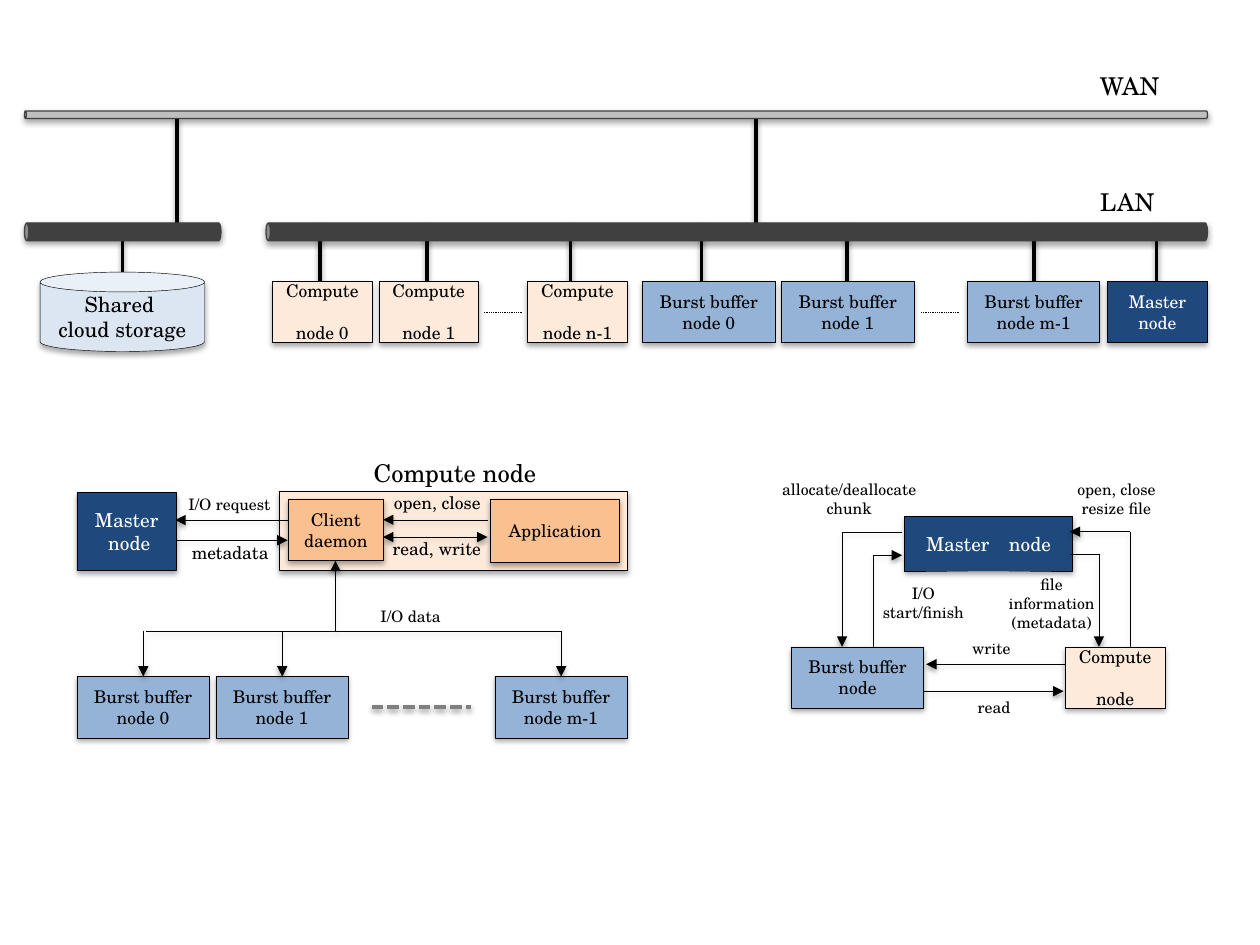
"""Build a slide of a burst buffer network and its message flows."""
from lxml.etree import SubElement
from pptx import Presentation
from pptx.dml.color import RGBColor
from pptx.enum.shapes import MSO_CONNECTOR, MSO_SHAPE, MSO_SHAPE_TYPE as TYPE
from pptx.enum.text import MSO_ANCHOR, MSO_AUTO_SIZE, PP_ALIGN
from pptx.oxml.ns import qn
from pptx.util import Pt

BLACK = RGBColor(0, 0, 0)
WHITE = RGBColor(255, 255, 255)
DARK = RGBColor(0x40, 0x40, 0x40)
GRAY = RGBColor(0x7F, 0x7F, 0x7F)
SILVER = RGBColor(0xBF, 0xBF, 0xBF)
ICE = RGBColor(0xDC, 0xE6, 0xF2)
PEACH = RGBColor(0xFD, 0xEA, 0xDA)
ORANGE = RGBColor(0xFA, 0xC0, 0x90)
BLUE = RGBColor(0x95, 0xB3, 0xD7)
NAVY = RGBColor(0x1F, 0x49, 0x7D)
FONT = "TeX Gyre Schola"
RECT, CAN = MSO_SHAPE.RECTANGLE, MSO_SHAPE.CAN
SLIM, WIDE, HIGH = 56.9, 75.6, 35


def put(area, kind, spot, fill=None, text="", size=10, align=PP_ALIGN.CENTER):
    """Add a filled shape, or a text box when kind is None."""
    spot = [Pt(n) for n in spot]
    if kind is None:
        shape = area.add_textbox(*spot)
    else:
        shape = area.add_shape(kind, *spot)
        shape.fill.solid()
        shape.fill.fore_color.rgb = fill
        shape.line.color.rgb = BLACK
        shape.line.width = Pt(0.25)
    frame = shape.text_frame
    frame.text = text
    frame.word_wrap = True
    if kind is None:
        frame.auto_size = MSO_AUTO_SIZE.SHAPE_TO_FIT_TEXT
    else:
        frame.vertical_anchor = MSO_ANCHOR.MIDDLE
    for para in frame.paragraphs:
        para.alignment = align
        for run in para.runs:
            run.font.name = FONT
            run.font.size = Pt(size)
            run.font.color.rgb = WHITE if fill == NAVY else BLACK
    for gap in shape.element.iter(qn("a:br")):
        look = SubElement(gap, qn("a:rPr"), sz=str(size * 100))
        SubElement(look, qn("a:latin"), typeface=FONT)
    return shape


def link(area, ends, width=0.25, tips="", dash=None, color=BLACK):
    """Add a line with optional dash and triangle tips at head or tail."""
    wire = area.add_connector(MSO_CONNECTOR.STRAIGHT, *[Pt(n) for n in ends])
    wire.line.color.rgb = color
    wire.line.width = Pt(width)
    ln = wire.line._get_or_add_ln()
    if dash:
        SubElement(ln, qn("a:prstDash"), val=dash)
    for tip in tips.split():
        SubElement(ln, qn(f"a:{tip}End"), type="triangle")


deck = Presentation()
deck.slide_width, deck.slide_height = Pt(720), Pt(540)
slide = deck.slides.add_slide(deck.slide_layouts[6])
net = slide.shapes

for x in (101, 432):
    link(net, (x, 127.5, x, 67.5), 2)
link(net, (70, 155.5, 70, 137.5), 2)
for x in (182.9, 244.1, 326, 401, 484, 591, 661):
    link(net, (x, 160.6, x, 127.5), 2)
for x in (276.5, 526.3):
    link(net, (x, 178.6, x + 22.3, 178.6), dash="dot")

pipes = [
    (14, 63.4, 676, 4.3, SILVER),
    (14, 127.4, 112.3, 10.1, DARK),
    (152, 127.4, 538, 10.1, DARK),
]
for x, y, long, thick, fill in pipes:
    shift = (long - thick) / 2
    pipe = put(net, CAN, (x + shift, y - shift, thick, long), fill)
    pipe.rotation = 270
    pipe.line.color.rgb = DARK
    pipe.line.width = Pt(0.75)

put(net, CAN, (22.9, 155.5, 94, 45.4), ICE, "Shared \ncloud storage", 12)
nodes = [
    (155.7, SLIM, PEACH, "Compute \vnode 0"),
    (216.5, SLIM, PEACH, "Compute \vnode 1"),
    (301.5, SLIM, PEACH, "Compute \vnode n-1"),
    (367.2, WIDE, BLUE, "Burst buffer\vnode 0"),
    (446.6, WIDE, BLUE, "Burst buffer\vnode 1"),
    (552.8, WIDE, BLUE, "Burst buffer\vnode m-1"),
    (632.9, SLIM, NAVY, "Master\vnode"),
]
for x, width, fill, text in nodes:
    put(net, RECT, (x, 160.6, width, HIGH), fill, text)
for y, text in ((37, "WAN"), (103.3, "LAN")):
    put(net, None, (621.4, y, 68.4, 24.5), text=text, size=14, align=PP_ALIGN.LEFT)

left = net.add_group_shape().shapes
for x, name in ((43.9, "0"), (123.3, "1"), (282.7, "m-1")):
    put(left, RECT, (x, 386.6, WIDE, HIGH), BLUE, f"Burst buffer\vnode {name}")
    mid = x + WIDE / 2 + 0.2
    link(left, (mid, 386.6, mid, 360.7), tips="head")
link(left, (212.4, 403.9, 269.3, 403.9), 2.25, dash="sysDash", color=GRAY)
put(left, RECT, (159.5, 280.8, 199, 45.1), PEACH)
put(left, RECT, (280.1, 285.1, 74, 36.4), ORANGE, "Application")
flows = [
    ((218.9, 297, 278.6, 297), "head"),
    ((218.9, 306.9, 278.6, 306.9), "head tail"),
    ((100.1, 297.2, 166.3, 297.2), "head"),
    ((164.4, 308.7, 99.4, 308.7), "head"),
    ((320.4, 360.7, 83.5, 360.7), ""),
    ((191.7, 320.4, 191.7, 360.7), "head"),
]
for ends, tips in flows:
    link(left, ends, tips=tips)
put(left, RECT, (164.6, 285.1, 54.5, 35), ORANGE, "Client\vdaemon")
put(left, RECT, (43.9, 281.5, SLIM, 44.6), NAVY, "Master\n node", 11)

right = net.add_group_shape().shapes
put(right, RECT, (517, 295.2, 95.8, 31), NAVY, "Master\u3000node", 11)
flows = [
    ((481.2, 369.6, 481.2, 304), "head"),
    ((515.5, 304, 481.2, 304), ""),
    ((499, 317.3, 499, 369.6), ""),
    ((515.5, 317.3, 499, 317.3), "head"),
    ((645.8, 369.6, 645.8, 303.8), ""),
    ((611.3, 303.8, 645.8, 303.8), "head"),
    ((628, 316.8, 628, 369.6), "tail"),
    ((611.3, 316.8, 628, 316.8), ""),
    ((611.3, 379.6, 529.2, 379.6), "tail"),
    ((607.7, 395, 525.6, 395), "head"),
]
for ends, tips in flows:
    link(right, ends, tips=tips)
put(right, RECT, (452.2, 369.6, WIDE, HIGH), BLUE, "Burst buffer\vnode")
put(right, RECT, (608.7, 369.6, SLIM, HIGH), PEACH, "Compute \vnode")

notes = [
    (left, (199.2, 258.2, 121.7, 22.3), 14, "Compute node"),
    (left, (215.3, 277.6, 69.1, 17.3), 10, "open, close"),
    (left, (215.1, 303.8, 69.1, 19.4), 10, "read, write"),
    (left, (97, 306, 69.1, 19.4), 10, "metadata"),
    (left, (96.5, 279.4, 69.1, 18), 9, "I/O request"),
    (left, (200, 343, 69.1, 18), 9, "I/O data"),
    (right, (531.9, 361.4, 69.1, 18), 9, "write"),
    (right, (533.5, 395.3, 69.1, 18), 9, "read"),
    (right, (562, 324.7, 77.8, 40.3), 9, "file information\v(metadata)"),
    (right, (594, 270.7, 87.8, 28.8), 9, "open, close\vresize file"),
    (right, (437, 270.7, 96.5, 28.8), 9, "allocate/deallocate\vchunk"),
    (right, (488.7, 330.2, 77.8, 28.8), 9, "I/O\vstart/finish"),
]
for area, spot, size, text in notes:
    put(area, None, spot, text=text, size=size)

for area in (net, left, right):
    for shape in area:
        if shape.shape_type in (TYPE.TEXT_BOX, TYPE.GROUP):
            continue
        wire = shape.shape_type == TYPE.LINE
        glow = SubElement(shape.element.spPr, qn("a:effectLst"))
        shade = SubElement(glow, qn("a:outerShdw"), blurRad=str(Pt(3.15)),
                           dist=str(Pt(1.6 if wire else 1.8)),
                           dir="5400000", rotWithShape="0")
        tint = SubElement(shade, qn("a:srgbClr"), val=str(BLACK))
        SubElement(tint, qn("a:alpha"), val="38000" if wire else "35000")

deck.save("out.pptx")
